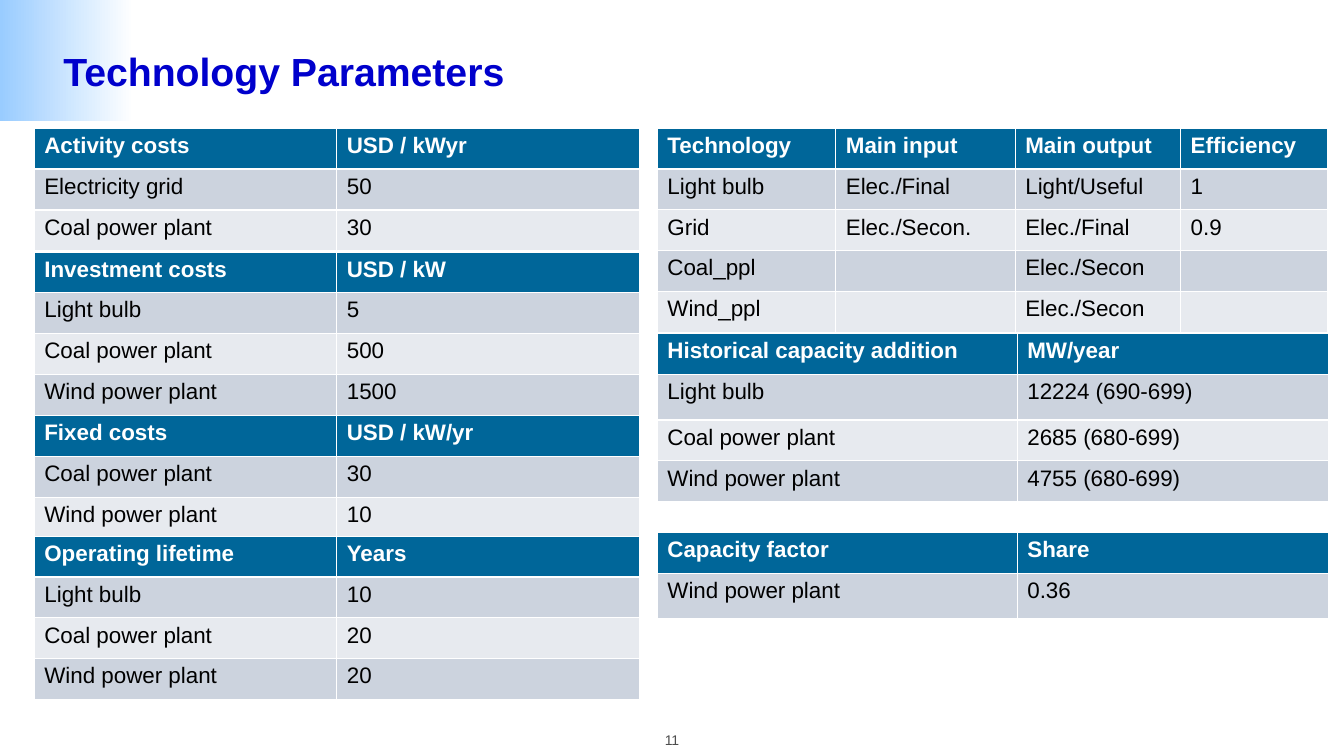
from pptx import Presentation
from pptx.dml.color import RGBColor
from pptx.enum.shapes import MSO_SHAPE
from pptx.enum.text import MSO_ANCHOR, PP_ALIGN
from pptx.util import Inches, Pt


def rgb(value):
    return RGBColor.from_string(value)


def write(frame, text, size=16, color="000000", bold=False, align=PP_ALIGN.LEFT):
    para = frame.paragraphs[0]
    para.alignment = align
    span = para.add_run()
    span.text = text
    span.font.name = "Arial"
    span.font.size = Pt(size)
    span.font.bold = bold
    span.font.color.rgb = rgb(color)


class ParameterSlide:
    HEADER = "006699"
    BANDS = ("CCD3DE", "E7EAEF")

    def __init__(self, deck):
        self.page = deck.slides.add_slide(deck.slide_layouts[6])

    def gradient(self, left, top, width, height, start, end):
        box = self.page.shapes.add_shape(
            MSO_SHAPE.RECTANGLE, Inches(left), Inches(top), Inches(width), Inches(height))
        box.shadow.inherit = False
        box.line.fill.background()
        box.fill.gradient()
        box.fill.gradient_angle = 180
        for stop, color in zip(box.fill.gradient_stops, (start, end)):
            stop.color.rgb = rgb(color)

    def text(self, left, top, width, height, text, anchor=MSO_ANCHOR.TOP, **style):
        box = self.page.shapes.add_textbox(
            Inches(left), Inches(top), Inches(width), Inches(height))
        box.text_frame.word_wrap = True
        box.text_frame.vertical_anchor = anchor
        write(box.text_frame, text, **style)

    def table(self, left, top, height, widths, rows, first_height=None):
        """Equal rows; first_height overrides the first row below the header.

        The default table style supplies the white cell borders.
        """
        table = self.page.shapes.add_table(
            len(rows), len(widths), Inches(left), Inches(top),
            Inches(sum(widths)), Inches(height)).table
        for column, width in zip(table.columns, widths):
            column.width = Inches(width)
        if first_height:
            for row in table.rows:
                row.height = Inches((height - first_height) / (len(rows) - 1))
            table.rows[1].height = Inches(first_height)
        for r, texts in enumerate(rows):
            header = r == 0
            for c, text in enumerate(texts):
                cell = table.cell(r, c)
                cell.fill.solid()
                cell.fill.fore_color.rgb = rgb(self.HEADER if header else self.BANDS[(r - 1) % 2])
                if text:
                    write(cell.text_frame, text, bold=header,
                          color="FFFFFF" if header else "000000")


def main():
    deck = Presentation()
    deck.slide_width, deck.slide_height = Inches(13.33), Inches(7.5)
    slide = ParameterSlide(deck)

    # Corner accent, page number and title
    slide.gradient(0, 0, 1.33, 1.2, "FFFFFF", "99CCFF")
    slide.text(6.22, 7.21, 0.89, 0.27, "11", size=10, color="4D4D4D", align=PP_ALIGN.CENTER)
    slide.text(0.53, 0.2, 12.27, 1, "Technology Parameters", anchor=MSO_ANCHOR.MIDDLE,
               size=28, color="0000CC", bold=True)

    # Left column: costs and lifetimes
    cost_tables = [
        (1.27, 1.22, [("Activity costs", "USD / kWyr"),
                      ("Electricity grid", "50"),
                      ("Coal power plant", "30")]),
        (2.5, 1.62, [("Investment costs", "USD / kW"),
                     ("Light bulb", "5"),
                     ("Coal power plant", "500"),
                     ("Wind power plant", "1500")]),
        (4.12, 1.22, [("Fixed costs", "USD / kW/yr"),
                      ("Coal power plant", "30"),
                      ("Wind power plant", "10")]),
        (5.32, 1.62, [("Operating lifetime", "Years"),
                      ("Light bulb", "10"),
                      ("Coal power plant", "20"),
                      ("Wind power plant", "20")]),
    ]
    for top, height, rows in cost_tables:
        slide.table(0.34, top, height, (3, 3), rows)

    # Right column: technologies, capacity additions and capacity factor
    right = 6.52
    slide.table(right, 1.27, 2.03, (1.77, 1.78, 1.64, 1.46), [
        ("Technology", "Main input", "Main output", "Efficiency"),
        ("Light bulb", "Elec./Final", "Light/Useful", "1"),
        ("Grid", "Elec./Secon.", "Elec./Final", "0.9"),
        ("Coal_ppl", "", "Elec./Secon", ""),
        ("Wind_ppl", "", "Elec./Secon", ""),
    ])
    capacity_widths = (3.57, 3.09)
    slide.table(right, 3.31, 1.67, capacity_widths, [
        ("Historical capacity addition", "MW/year"),
        ("Light bulb", "12224 (690-699)"),
        ("Coal power plant", "2685 (680-699)"),
        ("Wind power plant", "4755 (680-699)"),
    ], first_height=0.45)
    slide.table(right, 5.28, 0.86, capacity_widths, [
        ("Capacity factor", "Share"),
        ("Wind power plant", "0.36"),
    ], first_height=0.45)

    deck.save("out.pptx")


if __name__ == "__main__":
    main()
